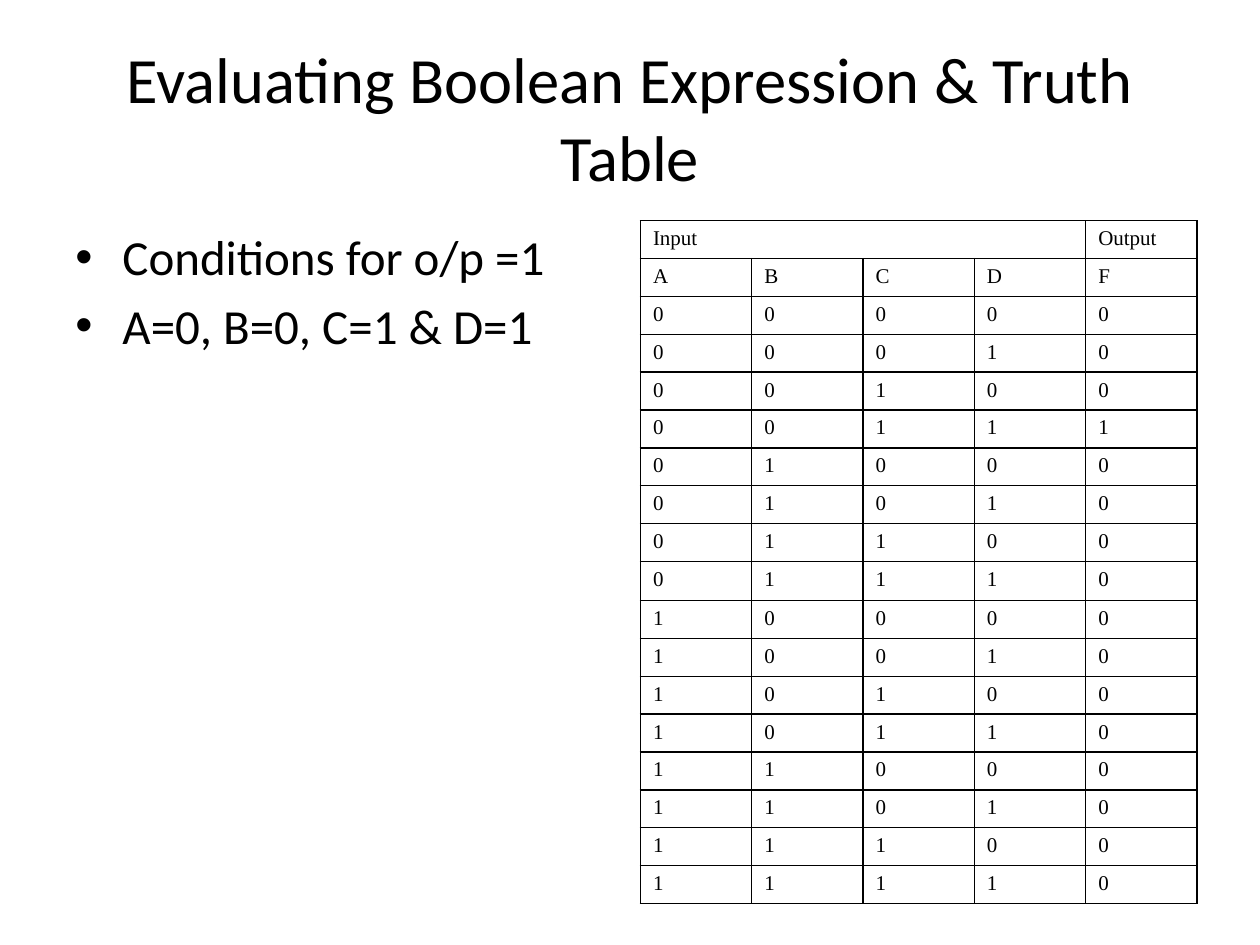
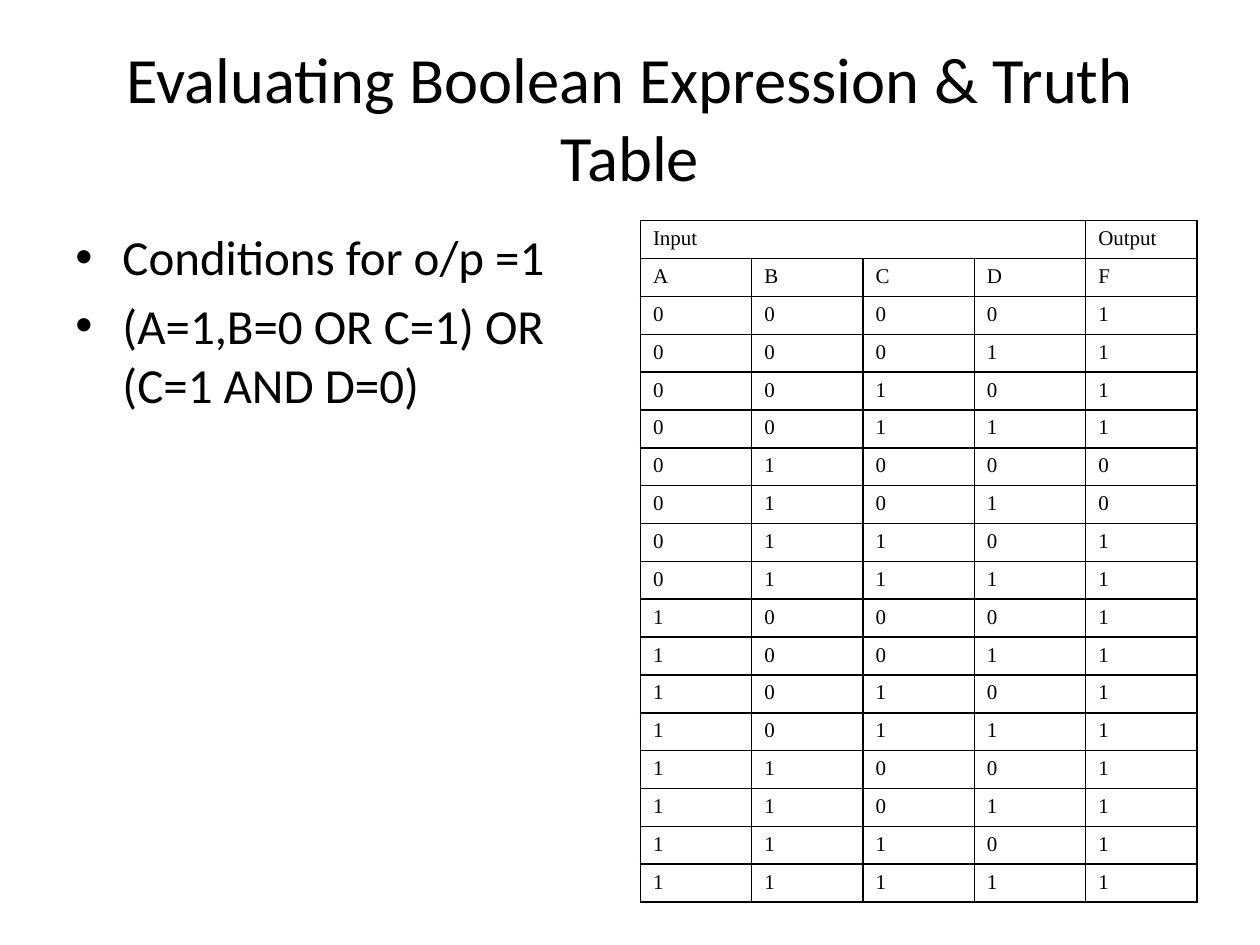
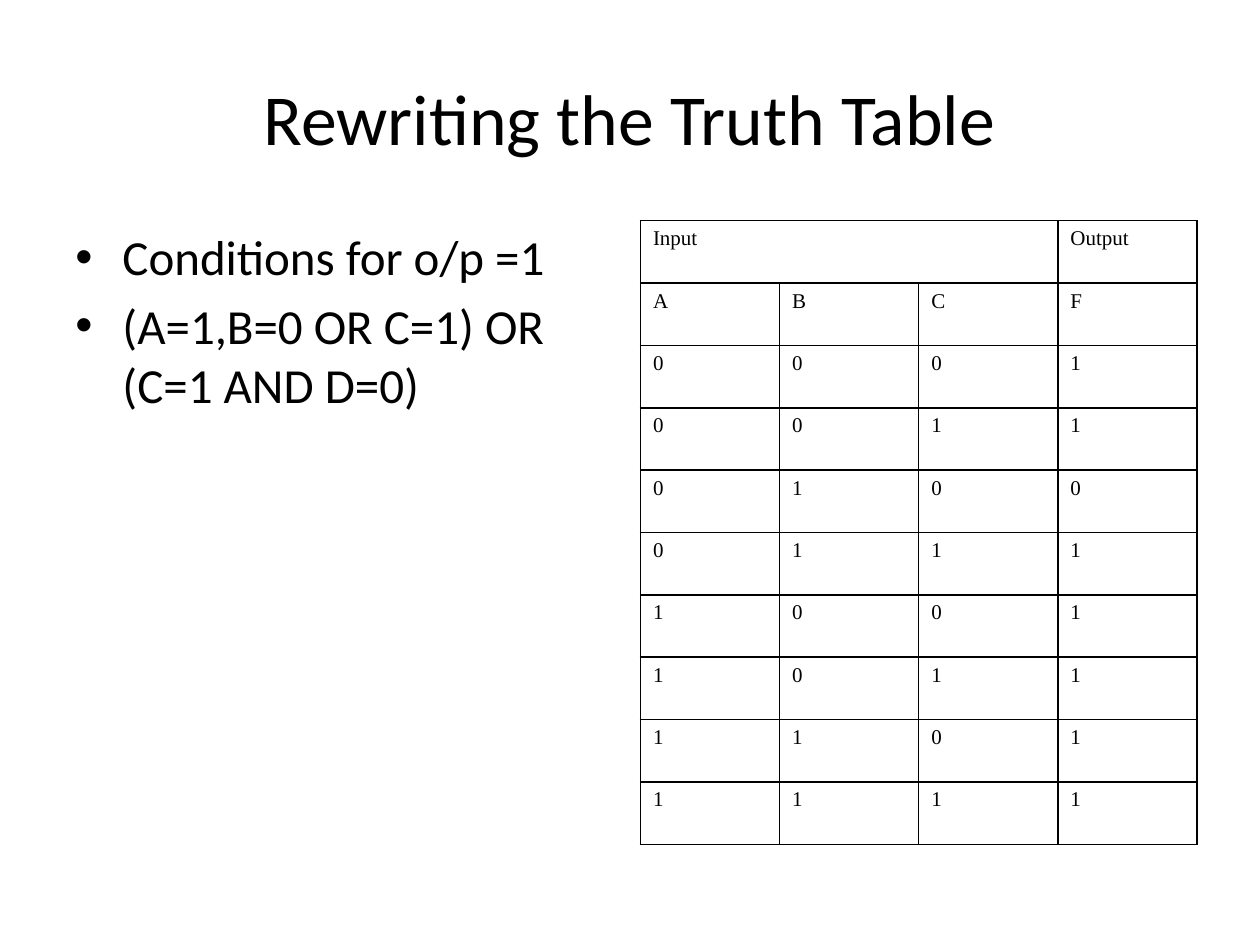
"""Build three slides that pair output conditions with truth tables."""
from dataclasses import dataclass
from itertools import product

from lxml import etree
from pptx import Presentation
from pptx.dml.color import RGBColor
from pptx.enum.text import MSO_ANCHOR, MSO_AUTO_SIZE, PP_ALIGN
from pptx.oxml.ns import qn
from pptx.util import Cm, Pt

CENTER, JUSTIFY = PP_ALIGN.CENTER, PP_ALIGN.JUSTIFY
MIDDLE = MSO_ANCHOR.MIDDLE
NO_FIT = MSO_AUTO_SIZE.NONE
SANS, SERIF = "Calibri", "Times New Roman"
INK = "000000"
TITLE_ONLY = 5
HANG = Cm(0.95)
TOP, WIDTH, HEIGHT = Cm(4.45), Cm(11.22), Cm(12.57)
LEFT, RIGHT = Cm(1.27), Cm(12.91)
HEAD = "Evaluating Boolean Expression & Truth Table"
GOAL = "Conditions for o/p =1"
RULE = "(A=1,B=0 OR C=1) OR (C=1 AND D=0)"


@dataclass
class Page:
    title: str
    size: float
    rule: str
    names: str
    outs: str
    hang: bool = False
    tall: int | None = None


PAGES = [
    Page(HEAD, 36.9, "A=0, B=0, C=1 & D=1", "ABCD", "0001000000000000", hang=True, tall=9),
    Page(HEAD, 36.9, RULE, "ABCD", "1111001111111111"),
    Page("Rewriting the Truth Table", 41, RULE, "ABC", "11011111"),
]


def color(code: str) -> RGBColor:
    return RGBColor.from_string(code)


def style(para, size: float, face: str) -> None:
    for run in para.runs:
        run.font.size = Pt(size)
        run.font.name = face
        run.font.color.rgb = color(INK)


def indent(para):
    props = para._p.get_or_add_pPr()
    props.set("marL", str(HANG))
    props.set("indent", str(-HANG))
    return props


def add_title(slide, page: Page) -> None:
    shape = slide.shapes.title
    shape.left, shape.top = LEFT, Cm(0.76)
    shape.width, shape.height = Cm(22.86), Cm(3.18)
    frame = shape.text_frame
    frame.text = page.title
    frame.auto_size = NO_FIT
    frame.vertical_anchor = MIDDLE
    para = frame.paragraphs[0]
    para.alignment = CENTER
    style(para, page.size, SANS)


def add_list(slide, lines: list[str]) -> None:
    frame = slide.shapes.add_textbox(LEFT, TOP, WIDTH, HEIGHT).text_frame
    frame.word_wrap = True
    frame.text = "\n".join(lines)
    for pos, para in enumerate(frame.paragraphs):
        props = indent(para)
        etree.SubElement(props, qn("a:buFont")).set("typeface", "Arial")
        etree.SubElement(props, qn("a:buChar")).set("char", "•")
        para.space_before = Pt(5.6 if pos else 0)
        style(para, 28, SANS)


def add_grid(cell) -> None:
    props = cell._tc.get_or_add_tcPr()
    for side in ("a:lnL", "a:lnR", "a:lnT", "a:lnB"):
        line = etree.SubElement(props, qn(side), w=str(Pt(1)))
        fill = etree.SubElement(line, qn("a:solidFill"))
        etree.SubElement(fill, qn("a:srgbClr"), val=INK)
    cell.fill.background()


def add_truth(slide, page: Page) -> None:
    count = len(page.names)
    rows = [["Input"] + [""] * (count - 1) + ["Output"], [*page.names, "F"]]
    rows += [[*bits, out] for bits, out in zip(product("01", repeat=count), page.outs)]
    table = slide.shapes.add_table(len(rows), count + 1, RIGHT, TOP, WIDTH, HEIGHT).table
    table.first_row = table.horz_banding = False
    if page.tall is not None:
        table.rows[page.tall].height = Cm(0.79)
    table.cell(0, 0).merge(table.cell(0, count - 1))
    for row, texts in enumerate(rows):
        for col, text in enumerate(texts):
            cell = table.cell(row, col)
            add_grid(cell)
            if text:
                cell.text_frame.text = text
                para = cell.text_frame.paragraphs[0]
                para.alignment = JUSTIFY
                if page.hang:
                    indent(para)
                style(para, 12, SERIF)


def main() -> None:
    deck = Presentation()
    deck.slide_width, deck.slide_height = Cm(25.4), Cm(19.05)
    for page in PAGES:
        slide = deck.slides.add_slide(deck.slide_layouts[TITLE_ONLY])
        add_title(slide, page)
        add_list(slide, [GOAL, page.rule])
        add_truth(slide, page)
    deck.save("out.pptx")


if __name__ == "__main__":
    main()
